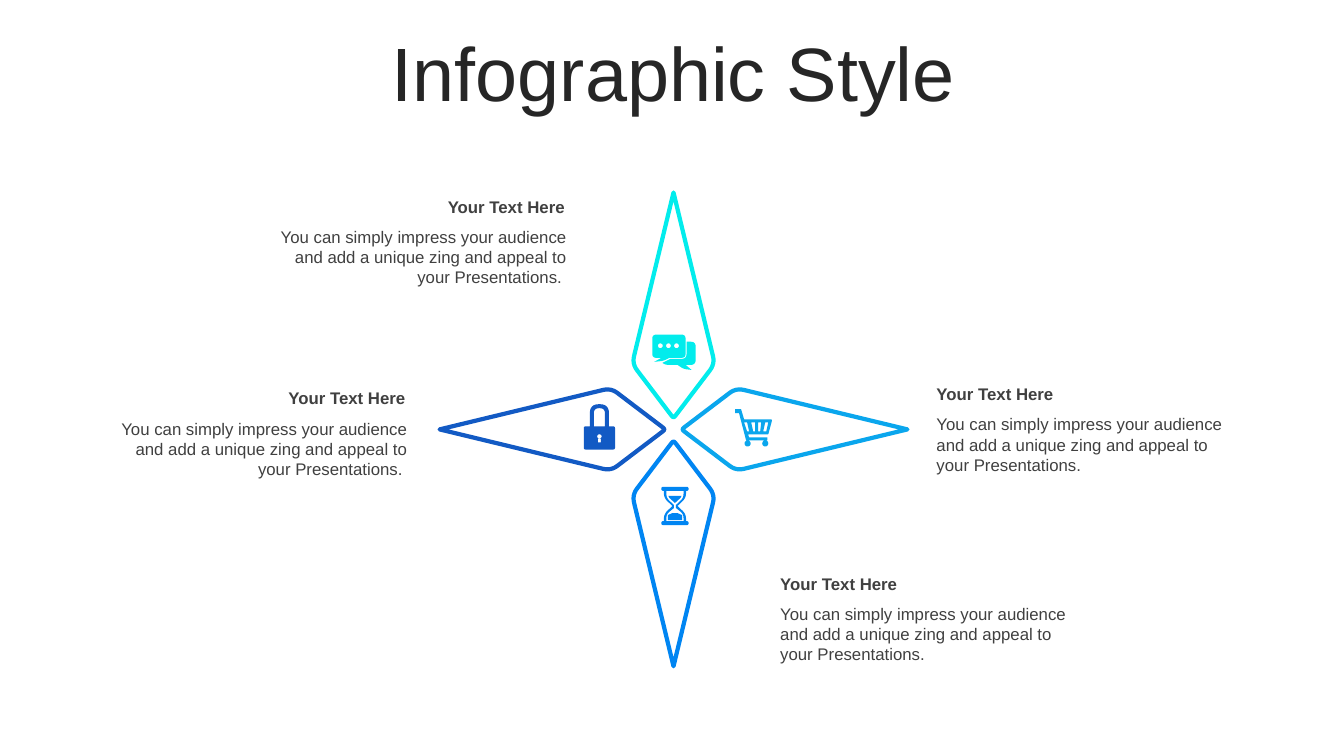
from dataclasses import dataclass
from math import cos, hypot, pi, sin

from pptx import Presentation
from pptx.dml.color import RGBColor
from pptx.enum.text import MSO_ANCHOR as Anchor, PP_ALIGN as Align
from pptx.util import Inches, Pt

CYAN, SKY, BLUE, NAVY = "02ECEC", "0AA6ED", "0085F2", "125AC4"
MID_X, MID_Y = 6.68, 4.26
HEAD = "Your Text Here"
BODY = ("You can simply impress your audience and add a unique zing "
        "and appeal to your Presentations.")

Ring = list[tuple[float, float]]


@dataclass
class Petal:
    turn: int  # quarter turns clockwise from the top
    gap: float
    color: str


@dataclass
class Note:
    left: float
    top: float
    width: float
    align: Align
    tail: str = ""


@dataclass
class Icon:
    """Rings are in hundredths of an inch from left and top."""
    left: float
    top: float
    color: str
    rings: list[Ring]


def rgb(color: str) -> RGBColor:
    return RGBColor.from_string(color)


def soften(corners: list[tuple]) -> Ring:
    """Round each corner given as (x, y, reach); (x, y) stays sharp."""
    ring = []
    for i, (x, y, *reach) in enumerate(corners):
        if not reach:
            ring.append((x, y))
            continue
        ends = []
        for px, py, *_ in (corners[i - 1], corners[(i + 1) % len(corners)]):
            part = reach[0] / hypot(px - x, py - y)
            ends.append((x + (px - x) * part, y + (py - y) * part))
        (ax, ay), (bx, by) = ends
        for step in range(7):
            t = step / 6
            u = 1 - t
            ring.append((u * u * ax + 2 * u * t * x + t * t * bx,
                         u * u * ay + 2 * u * t * y + t * t * by))
    return ring


def disc(x: float, y: float, r: float) -> Ring:
    return [(x + r * cos(k * pi / 10), y + r * sin(k * pi / 10))
            for k in range(20)]


def mirror(half: list[tuple], width: float) -> Ring:
    """Complete a right half, listed top to bottom, with its left half."""
    left = [(width - x, *rest) for x, *rest in reversed(half)]
    return soften(half + left)


def outline(shapes, rings: list[Ring]):
    """Make one freeform from rings given in inches."""
    paths = [[(Inches(x), Inches(y)) for x, y in ring] for ring in rings]
    pen = shapes.build_freeform(*paths[0][0], scale=1.0)
    for i, path in enumerate(paths):
        if i:
            pen.move_to(*path[0])
        pen.add_line_segments(path[1:], close=True)
    shape = pen.convert_to_shape()
    shape.shadow.inherit = False
    return shape


def draw_petal(shapes, petal: Petal) -> None:
    low = -petal.gap
    ring = soften([(0, low, 0.03), (-0.41, low - 0.54, 0.08),
                   (0, low - 2.24), (0.41, low - 0.54, 0.08)])
    for _ in range(petal.turn):
        ring = [(-y, x) for x, y in ring]
    shape = outline(shapes, [[(MID_X + x, MID_Y + y) for x, y in ring]])
    shape.fill.background()
    shape.line.color.rgb = rgb(petal.color)
    shape.line.width = Pt(3)


def draw_icon(shapes, icon: Icon) -> None:
    shape = outline(shapes, [[(icon.left + x / 100, icon.top + y / 100)
                              for x, y in ring] for ring in icon.rings])
    shape.fill.solid()
    shape.fill.fore_color.rgb = rgb(icon.color)
    shape.line.fill.background()


def write(shapes, text: str, box: tuple, align: Align, size: int = 12,
          color: str = "404040", bold: bool = False):
    frame = shapes.add_textbox(*map(Inches, box)).text_frame
    frame.word_wrap = True
    frame.text = text
    para = frame.paragraphs[0]
    para.alignment = align
    font = para.runs[0].font
    font.name, font.size, font.bold = "Arial", Pt(size), bold
    font.color.rgb = rgb(color)
    return frame


def draw_note(shapes, note: Note) -> None:
    write(shapes, BODY + note.tail,
          (note.left, note.top + 0.3, note.width, 0.71), note.align)
    write(shapes, HEAD, (note.left, note.top, note.width - 0.02, 0.3),
          note.align, bold=True)


PETALS = [Petal(0, 0.11, CYAN), Petal(1, 0.08, SKY),
          Petal(2, 0.11, BLUE), Petal(3, 0.08, NAVY)]

NOTES = [Note(2.59, 1.9, 3.13, Align.RIGHT, " "),
         Note(0.98, 3.8, 3.16, Align.RIGHT, " "),
         Note(7.64, 5.64, 3.13, Align.LEFT),
         Note(9.19, 3.76, 3.16, Align.LEFT)]

CHAT = Icon(6.47, 3.32, CYAN, [
    soften([(0, 0, 4), (33, 0, 4), (33, 23, 4), (17, 23), (11, 26, 3),
            (2, 27), (9, 23), (0, 23, 4)]),
    soften([(34, 7), (43, 7, 5), (43, 30, 5), (33, 30), (39, 35),
            (31, 34, 3), (25, 30), (13, 30, 3), (10, 28), (18, 24),
            (34, 24, 5)]),
    *[disc(x, 11, 2.4) for x in (8, 16, 24)]])

GLASS = Icon(6.56, 4.83, BLUE, [
    mirror([(27, 0, 2), (27, 4, 2), (24.5, 4), (24.5, 11, 5), (16, 19),
            (24.5, 27, 5), (24.5, 34), (27, 34, 2), (27, 38, 2)], 27),
    mirror([(22, 4), (22, 11, 4), (14.5, 18), (14.5, 21), (22, 27, 4),
            (22, 34)], 27),
    mirror([(20, 9), (19, 11), (13.5, 16)], 27),
    mirror([(16, 26), (20.5, 28), (20.5, 33)], 27)])

CART = Icon(7.29, 4.06, SKY, [
    soften([(0, 0), (6, 0), (9, 10), (37, 10, 2), (33, 25, 1), (13, 25),
            (14, 28), (32, 28), (32, 31), (11, 31), (4, 4), (0, 4)]),
    *[[(a, 13), (b, 13), (c, 22), (d, 22)] for a, b, c, d in
      ((9, 12, 14, 12), (16, 20, 20, 18), (23, 26, 25, 23),
       (30, 33, 31, 28))],
    disc(12.5, 34, 3), disc(30, 34, 3)])

LOCK = Icon(5.79, 4.01, NAVY, [
    mirror([(25, 0, 9), (25, 22), (31, 22, 2), (31, 45, 2)], 31),
    mirror([(21, 4, 5), (21, 22)], 31),
    disc(15.5, 32, 2.2),
    mirror([(17, 34.2), (17, 38)], 31)])


def main() -> None:
    deck = Presentation()
    deck.slide_width, deck.slide_height = Inches(13.33), Inches(7.5)
    shapes = deck.slides.add_slide(deck.slide_layouts[6]).shapes
    title = write(shapes, "Infographic Style", (0.35, 0.37, 12.66, 0.79),
                  Align.CENTER, 54, "262626")
    title.vertical_anchor = Anchor.MIDDLE
    title.paragraphs[0].line_spacing = 0.9
    for petal in PETALS:
        draw_petal(shapes, petal)
    for note in NOTES:
        draw_note(shapes, note)
    for icon in (CHAT, GLASS, CART, LOCK):
        draw_icon(shapes, icon)
    deck.save("out.pptx")


if __name__ == "__main__":
    main()
